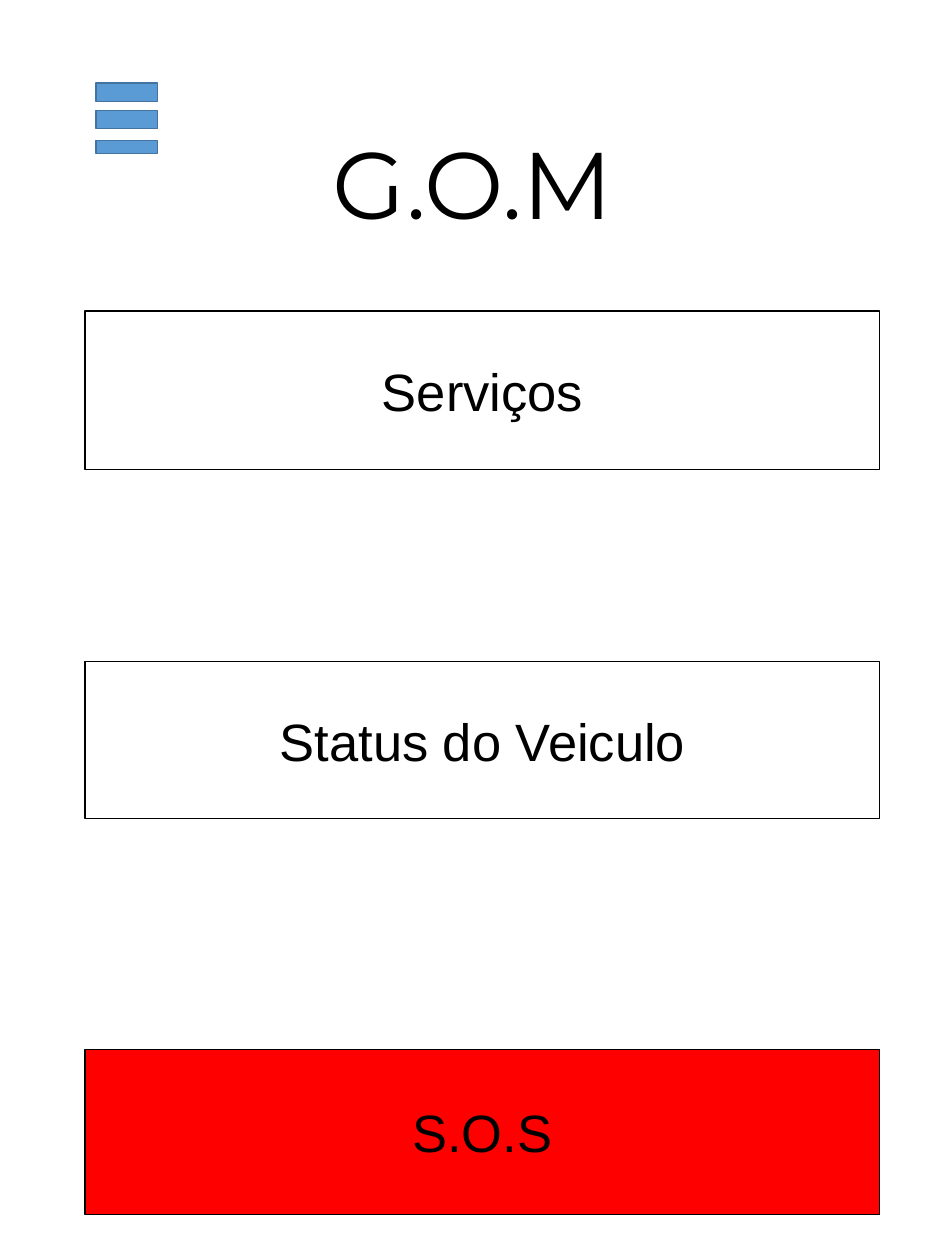
import pptx
import pptx.util
import pptx.dml.color
import pptx.enum.shapes
import pptx.enum.text

Inches = pptx.util.Inches
Pt = pptx.util.Pt
SHAPES = pptx.enum.shapes.MSO_SHAPE


def color(hex_value):
    return pptx.dml.color.RGBColor.from_string(hex_value)


class AppScreen:
    """Holds the style and the current slide."""
    ink = "000000"
    icon_fill, icon_line = "5B9BD5", "43739E"
    title_font, button_font = "Montserrat", "Arial"

    def __init__(self, slide):
        self.slide = slide

    def label(self, frame, text, font, size):
        frame.word_wrap = True
        frame.vertical_anchor = pptx.enum.text.MSO_ANCHOR.MIDDLE
        paragraph = frame.paragraphs[0]
        paragraph.alignment = pptx.enum.text.PP_ALIGN.CENTER
        run = paragraph.add_run()
        run.text = text
        run.font.name = font
        run.font.size = Pt(size)
        run.font.color.rgb = color(self.ink)
        return paragraph

    def title(self, text, left, top, width, height):
        heading = self.slide.shapes.title
        heading.left, heading.top = Inches(left), Inches(top)
        heading.width, heading.height = Inches(width), Inches(height)
        self.label(heading.text_frame, text, self.title_font, 72).line_spacing = 0.9

    def shape(self, kind, box, fill, line):
        item = self.slide.shapes.add_shape(kind, *map(Inches, box))
        item.shadow.inherit = False
        item.fill.solid()
        item.fill.fore_color.rgb = color(fill)
        item.line.color.rgb = color(line)
        item.line.width = Pt(1)
        return item

    def icon(self, kind, *box):
        self.shape(kind, box, self.icon_fill, self.icon_line)

    def button(self, text, fill, *box):
        item = self.shape(SHAPES.RECTANGLE, box, fill, self.ink)
        self.label(item.text_frame, text, self.button_font, 40)


deck = pptx.Presentation()
deck.slide_width, deck.slide_height = Inches(10), Inches(13.33)
screen = AppScreen(deck.slides.add_slide(deck.slide_layouts[5]))

# Heading
screen.title("G.O.M", 0.69, 0.71, 8.62, 2.58)

# Menu icon: two upper bars and a lower one
screen.icon(SHAPES.MATH_EQUAL, 0.9, 0.71, 0.88, 0.82)
screen.icon(SHAPES.MATH_MINUS, 0.9, 1.26, 0.88, 0.59)

# Buttons
for caption, fill, top, height in (
    ("Serviços", "FFFFFF", 3.29, 1.68),
    ("Status do Veiculo", "FFFFFF", 7, 1.66),
    ("S.O.S", "FF0000", 11.1, 1.75),
):
    screen.button(caption, fill, 0.9, top, 8.41, height)

deck.save("out.pptx")
